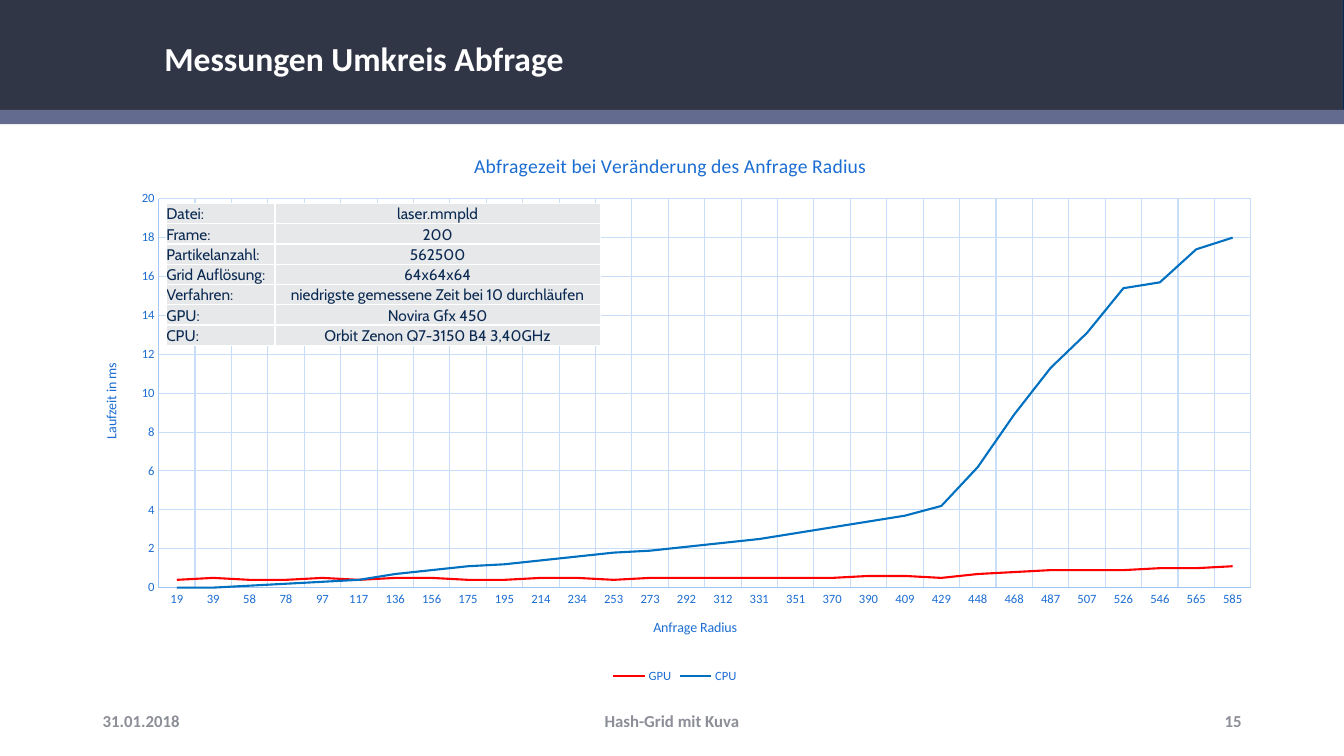
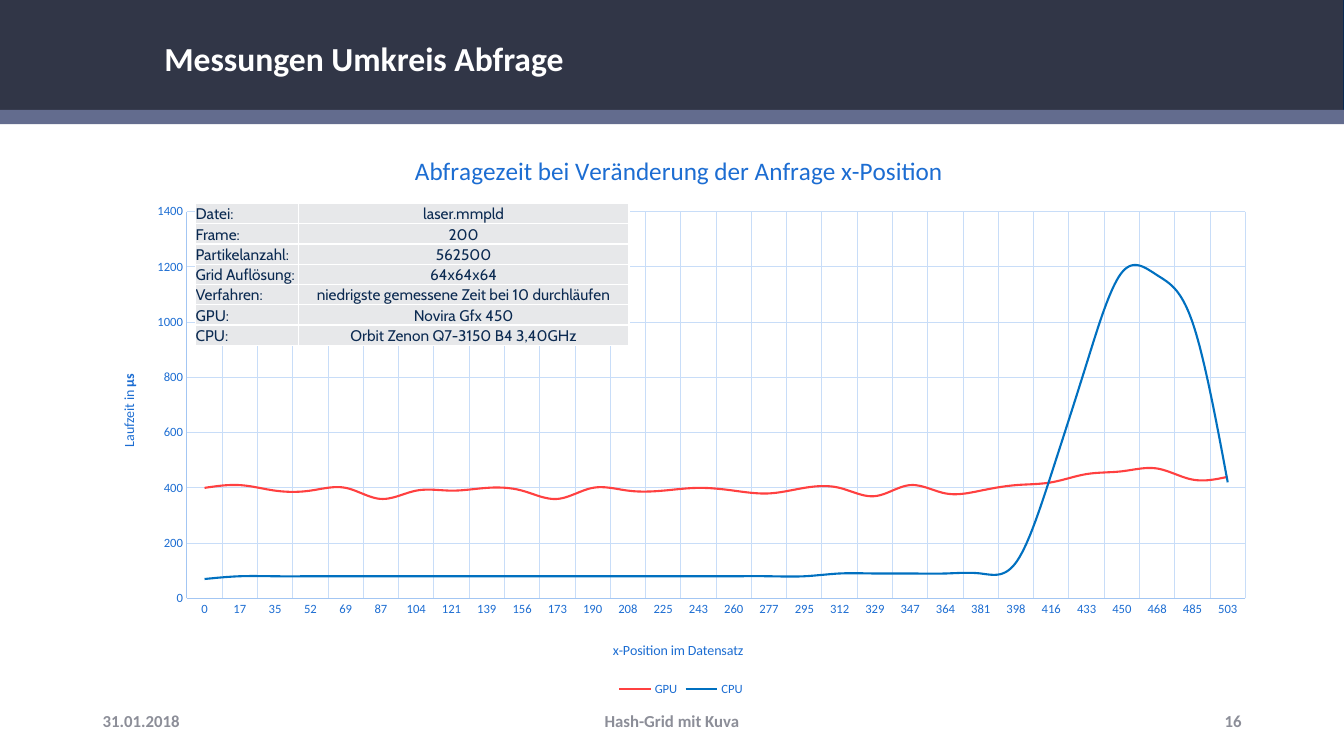
from dataclasses import dataclass

from lxml import etree
from pptx import Presentation
from pptx import util as u
from pptx.chart import data as cd
from pptx.dml import color as co
from pptx.enum import chart as ch
from pptx.enum import shapes as sh
from pptx.enum import text as tx
from pptx.oxml import ns


@dataclass(frozen=True)
class Theme:
    """Colours, fonts and type sizes of the deck."""

    bar: str = "313647"
    band: str = "636C8E"
    ink: str = "0B2A51"
    white: str = "FFFFFF"
    foot: str = "8C8E98"
    cell: str = "E7E8EA"
    label: str = "1C6DD2"
    axis: str = "A3C6F3"
    grid: str = "C8DDF8"
    cpu: str = "0070C0"
    font: str = "Calibri"
    alt: str = "Cabin"
    head: float = 24
    note: float = 12
    fact: float = 11
    name: float = 10
    tick: float = 9


T = Theme()
WIDE, HIGH = 33.87, 19.05
LEFT, MID, RIGHT = tx.PP_ALIGN.LEFT, tx.PP_ALIGN.CENTER, tx.PP_ALIGN.RIGHT

FACTS = [
    ("Datei:", "laser.mmpld"),
    ("Frame:", "200"),
    ("Partikelanzahl:", "562500"),
    ("Grid Auflösung:", "64x64x64"),
    ("Verfahren:", "niedrigste gemessene Zeit bei 10 durchläufen"),
    ("GPU:", "Novira Gfx 450"),
    ("CPU:", "Orbit Zenon Q7-3150 B4 3,40GHz"),
]

RADIUS = dict(
    box=(1.88, 3.33, 30.25, 14),
    title="Abfragezeit bei Veränderung des Anfrage Radius",
    size=14,
    under="Anfrage Radius",
    unit="ms",
    strong=False,
    top=20,
    step=2,
    smooth=False,
    tints=("FF0000", T.cpu),
    spots=dict(plot=(0.07, 0.12, 0.91, 0.7), title=(0.33, 0.03),
               cat=(0.48, 0.87), val=(0.02, 0.41)),
    cats=[19, 39, 58, 78, 97, 117, 136, 156, 175, 195, 214, 234, 253, 273, 292,
          312, 331, 351, 370, 390, 409, 429, 448, 468, 487, 507, 526, 546, 565, 585],
    gpu=[0.4, 0.5, 0.4, 0.4, 0.5, 0.4, 0.5, 0.5, 0.4, 0.4, 0.5, 0.5, 0.4, 0.5, 0.5,
         0.5, 0.5, 0.5, 0.5, 0.6, 0.6, 0.5, 0.7, 0.8, 0.9, 0.9, 0.9, 1, 1, 1.1],
    cpu=[0, 0, 0.1, 0.2, 0.3, 0.4, 0.7, 0.9, 1.1, 1.2, 1.4, 1.6, 1.8, 1.9, 2.1,
         2.3, 2.5, 2.8, 3.1, 3.4, 3.7, 4.2, 6.2, 8.9, 11.3, 13.1, 15.4, 15.7, 17.4, 18],
)

PLACE = dict(
    box=(2.34, 3.33, 29.64, 14.33),
    title="Abfragezeit bei Veränderung der Anfrage x-Position",
    size=18,
    under="x-Position im Datensatz",
    unit="µs",
    strong=True,
    top=1400,
    step=200,
    smooth=True,
    tints=("FF4040", T.cpu),
    spots=dict(plot=(0.08, 0.14, 0.9, 0.68), title=(0.27, 0.03),
               cat=(0.44, 0.89), val=(0.02, 0.42)),
    cats=[0, 17, 35, 52, 69, 87, 104, 121, 139, 156, 173, 190, 208, 225, 243,
          260, 277, 295, 312, 329, 347, 364, 381, 398, 416, 433, 450, 468, 485, 503],
    gpu=[400, 410, 390, 390, 400, 360, 390, 390, 400, 390, 360, 400, 390, 390, 400,
         390, 380, 400, 400, 370, 410, 380, 390, 410, 420, 450, 460, 470, 430, 440],
    cpu=[70] + [80] * 17 + [90] * 5 + [130, 450, 850, 1180, 1170, 1000, 420],
)


def rgb(hue):
    """Turn a hex string into a colour."""
    return co.RGBColor.from_string(hue)


def cm(*nums):
    """Turn numbers into lengths."""
    return [u.Cm(n) for n in nums]


def style(font, size, hue, bold=False, face=T.font):
    """Format a font."""
    font.name, font.size, font.bold = face, u.Pt(size), bold
    font.color.rgb = rgb(hue)


def write(frame, words, align=None, **fmt):
    """Append a formatted run to the first paragraph."""
    para = frame.paragraphs[0]
    if align is not None:
        para.alignment = align
    run = para.add_run()
    run.text = words
    style(run.font, **fmt)


def stroke(line, hue, width):
    """Set the colour and width of a line."""
    line.color.rgb = rgb(hue)
    line.width = u.Pt(width)


def bands(slide, layout):
    """Draw the header bands and move them to the layout."""
    rows = [(0, 2.92, T.bar, T.ink), (2.77, 0.36, T.band, None)]
    for i, (top, tall, fill, edge) in enumerate(rows):
        bar = slide.shapes.add_shape(sh.MSO_SHAPE.RECTANGLE, *cm(0, top, WIDE, tall))
        bar.shadow.inherit = False
        bar.fill.solid()
        bar.fill.fore_color.rgb = rgb(fill)
        if edge:
            stroke(bar.line, edge, 0.75)
        else:
            bar.line.fill.background()
        bar.element.xpath("./p:nvSpPr/p:cNvPr")[0].set("id", str(20 + i))
        layout.shapes.element.insert(2 + i, bar.element)


def head(slide, words):
    """Place and fill the title."""
    box = slide.shapes.title
    box.left, box.top, box.width, box.height = cm(4.14, 0.93, 27.99, 1.07)
    frame = box.text_frame
    frame.auto_size = tx.MSO_AUTO_SIZE.NONE
    frame.vertical_anchor = tx.MSO_ANCHOR.MIDDLE
    frame.margin_left, frame.margin_right = cm(0, 0.25)
    frame.margin_top, frame.margin_bottom = cm(0.13, 0.13)
    write(frame, words, LEFT, size=T.head, hue=T.white, bold=True)


def foot(slide, page):
    """Write date, topic and page number."""
    parts = [
        (2.34, 7.62, "31.01.2018", LEFT),
        (11.22, 11.43, "Hash-Grid mit Kuva", MID),
        (23.92, 7.62, str(page), RIGHT),
    ]
    for left, wide, words, align in parts:
        frame = slide.shapes.add_textbox(*cm(left, 17.65, wide, 1.02)).text_frame
        frame.word_wrap = True
        frame.vertical_anchor = tx.MSO_ANCHOR.MIDDLE
        write(frame, words, align, size=T.note, hue=T.foot, bold=True)


def pin(root, query, spot):
    """Give a chart part a fixed place, in shares of the chart."""
    node = root.xpath(query)[0]
    for old in node.findall(ns.qn("c:layout")):
        node.remove(old)
    lay = etree.Element(ns.qn("c:layout"))
    hold = etree.SubElement(lay, ns.qn("c:manualLayout"))
    pairs = [("xMode", "edge"), ("yMode", "edge"), *zip("xywh", spot)]
    if len(spot) == 4:
        pairs.insert(0, ("layoutTarget", "inner"))
    for tag, val in pairs:
        etree.SubElement(hold, ns.qn("c:" + tag)).set("val", str(val))
    node.insert(0 if len(spot) == 4 else 1, lay)


def scale(axis):
    """Format an axis with its grid."""
    axis.has_major_gridlines = True
    stroke(axis.major_gridlines.format.line, T.grid, 0.75)
    stroke(axis.format.line, T.axis, 0.75)
    axis.major_tick_mark = axis.minor_tick_mark = ch.XL_TICK_MARK.NONE
    style(axis.tick_labels.font, T.tick, T.label)


def graph(slide, info):
    """Add the line chart of one test run."""
    data = cd.CategoryChartData()
    data.categories = [str(c) for c in info["cats"]]
    data.add_series("GPU", info["gpu"])
    data.add_series("CPU", info["cpu"])
    kind = ch.XL_CHART_TYPE.LINE
    chart = slide.shapes.add_chart(kind, *cm(*info["box"]), data).chart
    style(chart.font, T.name, T.ink)
    chart.plots[0].vary_by_categories = False
    for line, tint in zip(chart.plots[0].series, info["tints"]):
        line.smooth = info["smooth"]
        line.marker.style = ch.XL_MARKER_STYLE.NONE
        stroke(line.format.line, tint, 1.5)

    cat, val = chart.category_axis, chart.value_axis
    scale(cat)
    scale(val)
    val.minimum_scale, val.maximum_scale = 0, info["top"]
    val.major_unit = info["step"]

    name = dict(size=T.name, hue=T.label)
    chart.has_title = True
    write(chart.chart_title.text_frame, info["title"], size=info["size"], hue=T.label)
    write(cat.axis_title.text_frame, info["under"], **name)
    side = val.axis_title.text_frame
    write(side, "Laufzeit in ", **name)
    write(side, info["unit"], bold=info["strong"], **name)

    chart.has_legend = True
    chart.legend.position = ch.XL_LEGEND_POSITION.BOTTOM
    chart.legend.include_in_layout = False
    style(chart.legend.font, T.tick, T.label)

    root, spots = chart.element, info["spots"]
    turn = root.xpath(".//c:valAx/c:title//a:bodyPr")[0]
    turn.set("rot", "-5400000")
    turn.set("vert", "horz")
    pin(root, "./c:chart/c:plotArea", spots["plot"])
    pin(root, "./c:chart/c:title", spots["title"])
    pin(root, ".//c:catAx/c:title", spots["cat"])
    pin(root, ".//c:valAx/c:title", spots["val"])


def edge(cell):
    """Draw thin white borders round a cell."""
    props = cell._tc.get_or_add_tcPr()
    for i, tag in enumerate(("lnL", "lnR", "lnT", "lnB")):
        line = etree.Element(ns.qn("a:" + tag), w=str(u.Pt(1)))
        fill = etree.SubElement(line, ns.qn("a:solidFill"))
        etree.SubElement(fill, ns.qn("a:srgbClr"), val=T.white)
        props.insert(i, line)


def table(slide, left, cols):
    """Add the table of test facts."""
    tall = 0.51
    area = cm(left, 5.13, sum(cols), tall * len(FACTS))
    grid = slide.shapes.add_table(len(FACTS), len(cols), *area).table
    grid.first_row = grid.horz_banding = False
    for col, wide in zip(grid.columns, cols):
        col.width = u.Cm(wide)
    for row, fact in zip(grid.rows, FACTS):
        row.height = u.Cm(tall)
        for cell, words, align in zip(row.cells, fact, (LEFT, MID)):
            cell.margin_left = cell.margin_right = 0
            cell.margin_top = cell.margin_bottom = 0
            cell.vertical_anchor = tx.MSO_ANCHOR.BOTTOM
            cell.fill.solid()
            cell.fill.fore_color.rgb = rgb(T.cell)
            edge(cell)
            write(cell.text_frame, words, align, size=T.fact, hue=T.ink, face=T.alt)


def main():
    """Build and save the deck."""
    deck = Presentation()
    deck.slide_width, deck.slide_height = cm(WIDE, HIGH)
    layout = deck.slide_layouts[5]
    plans = [(RADIUS, 4.19, (2.74, 8.2)), (PLACE, 4.93, (2.59, 8.33))]
    for page, (info, left, cols) in enumerate(plans, 15):
        slide = deck.slides.add_slide(layout)
        if page == 15:
            bands(slide, layout)
        head(slide, "Messungen Umkreis Abfrage")
        foot(slide, page)
        graph(slide, info)
        table(slide, left, cols)
    deck.save("out.pptx")


if __name__ == "__main__":
    main()
